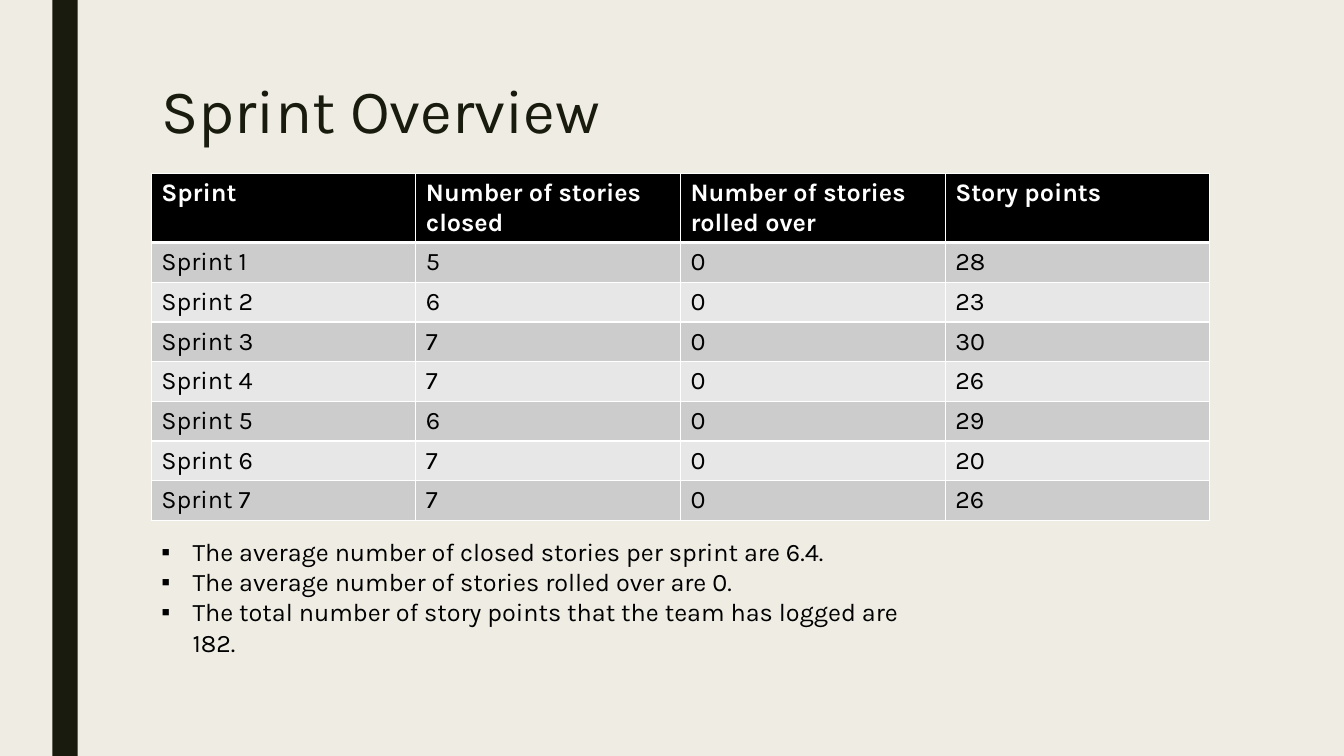
from dataclasses import dataclass

from lxml import etree
from pptx import Presentation
from pptx.dml.color import RGBColor
from pptx.enum.shapes import MSO_SHAPE
from pptx.enum.text import MSO_ANCHOR, MSO_AUTO_SIZE, PP_ALIGN
from pptx.oxml.ns import qn
from pptx.util import Inches, Pt

RECT = MSO_SHAPE.RECTANGLE
TOP = MSO_ANCHOR.TOP
LEFT = PP_ALIGN.LEFT
NO_AUTOFIT = MSO_AUTO_SIZE.NONE


@dataclass(frozen=True)
class Theme:
    font: str = "Karla"
    background: str = "EFEDE3"
    dark: str = "191B0E"
    black: str = "000000"
    white: str = "FFFFFF"
    bands: tuple = ("CCCCCC", "E7E7E7")
    title_size: int = 44
    text_size: int = 18
    grid_width: int = 1
    header_rule: int = 3


THEME = Theme()

HEADERS = ["Sprint", "Number of stories closed", "Number of stories rolled over", "Story points"]
CLOSED = [5, 6, 7, 7, 6, 7, 7]
ROLLED_OVER = [0] * len(CLOSED)
POINTS = [28, 23, 30, 26, 29, 20, 26]
SUMMARY = [
    "The average number of closed stories per sprint are 6.4.",
    "The average number of stories rolled over are 0.",
    "The total number of story points that the team has logged are 182.",
]


def rgb(color):
    return RGBColor.from_string(color)


def format_runs(p, size, color, bold=False):
    for r in p.runs:
        r.font.name = THEME.font
        r.font.size = Pt(size)
        r.font.bold = bold
        r.font.color.rgb = rgb(color)


def place(sp, left, top, width, height):
    sp.left, sp.top = Inches(left), Inches(top)
    sp.width, sp.height = Inches(width), Inches(height)
    tf = sp.text_frame
    tf.word_wrap = True
    tf.auto_size = NO_AUTOFIT
    tf.vertical_anchor = TOP
    return tf


def add_side_bar(slide):
    sp = slide.shapes.add_shape(RECT, Inches(0.52), 0, Inches(0.25), Inches(7.5))
    sp.shadow.inherit = False
    sp.fill.solid()
    sp.fill.fore_color.rgb = rgb(THEME.dark)
    sp.line.fill.background()


def set_title(slide, text):
    tf = place(slide.shapes.title, 1.5, 0.75, 10.5, 0.97)
    tf.text = text
    p = tf.paragraphs[0]
    p.alignment = LEFT
    p.line_spacing = 0.89
    format_runs(p, THEME.title_size, THEME.dark)


def set_border(cell, side, width):
    tcPr = cell._tc.get_or_add_tcPr()
    ln = etree.SubElement(tcPr, qn(f"a:ln{side}"), w=str(Pt(width)))
    fill = etree.SubElement(ln, qn("a:solidFill"))
    etree.SubElement(fill, qn("a:srgbClr"), val=THEME.white)


def format_cell(cell, text, row):
    is_header = row == 0
    cell.text = str(text)
    color = THEME.white if is_header else THEME.black
    format_runs(cell.text_frame.paragraphs[0], THEME.text_size, color, is_header)
    thick_side = {0: "B", 1: "T"}.get(row)
    for side in "LRTB":
        set_border(cell, side, THEME.header_rule if side == thick_side else THEME.grid_width)
    cell.fill.solid()
    cell.fill.fore_color.rgb = rgb(THEME.black if is_header else THEME.bands[(row - 1) % 2])


def add_sprint_table(slide):
    sprints = [f"Sprint {n}" for n in range(1, len(CLOSED) + 1)]
    rows = [HEADERS, *zip(sprints, CLOSED, ROLLED_OVER, POINTS)]
    frame = slide.shapes.add_table(
        len(rows), len(HEADERS), Inches(1.5), Inches(1.72), Inches(10.5), Inches(3.4)
    )
    table = frame.table
    for i, values in enumerate(rows):
        table.rows[i].height = Inches(0.39 if i else 0.67)
        for j, value in enumerate(values):
            format_cell(table.cell(i, j), value, i)


def add_bullet(p):
    pPr = p._p.get_or_add_pPr()
    pPr.set("marL", str(Inches(0.31)))
    pPr.set("indent", str(Inches(-0.31)))
    etree.SubElement(pPr, qn("a:buChar"), char="▪")


def set_summary(slide, lines):
    tf = place(slide.placeholders[1], 1.5, 5.27, 7.6, 1.3)
    tf.text = "\n".join(lines)
    for p in tf.paragraphs:
        add_bullet(p)
        p.alignment = LEFT
        p.line_spacing = 1.0
        p.space_before = p.space_after = Pt(0)
        format_runs(p, THEME.text_size, THEME.black)


def main():
    prs = Presentation()
    prs.slide_width, prs.slide_height = Inches(13.33), Inches(7.5)
    slide = prs.slides.add_slide(prs.slide_layouts[1])
    slide.background.fill.solid()
    slide.background.fill.fore_color.rgb = rgb(THEME.background)
    add_side_bar(slide)
    set_title(slide, "Sprint Overview")
    add_sprint_table(slide)
    set_summary(slide, SUMMARY)
    prs.save("out.pptx")


if __name__ == "__main__":
    main()
